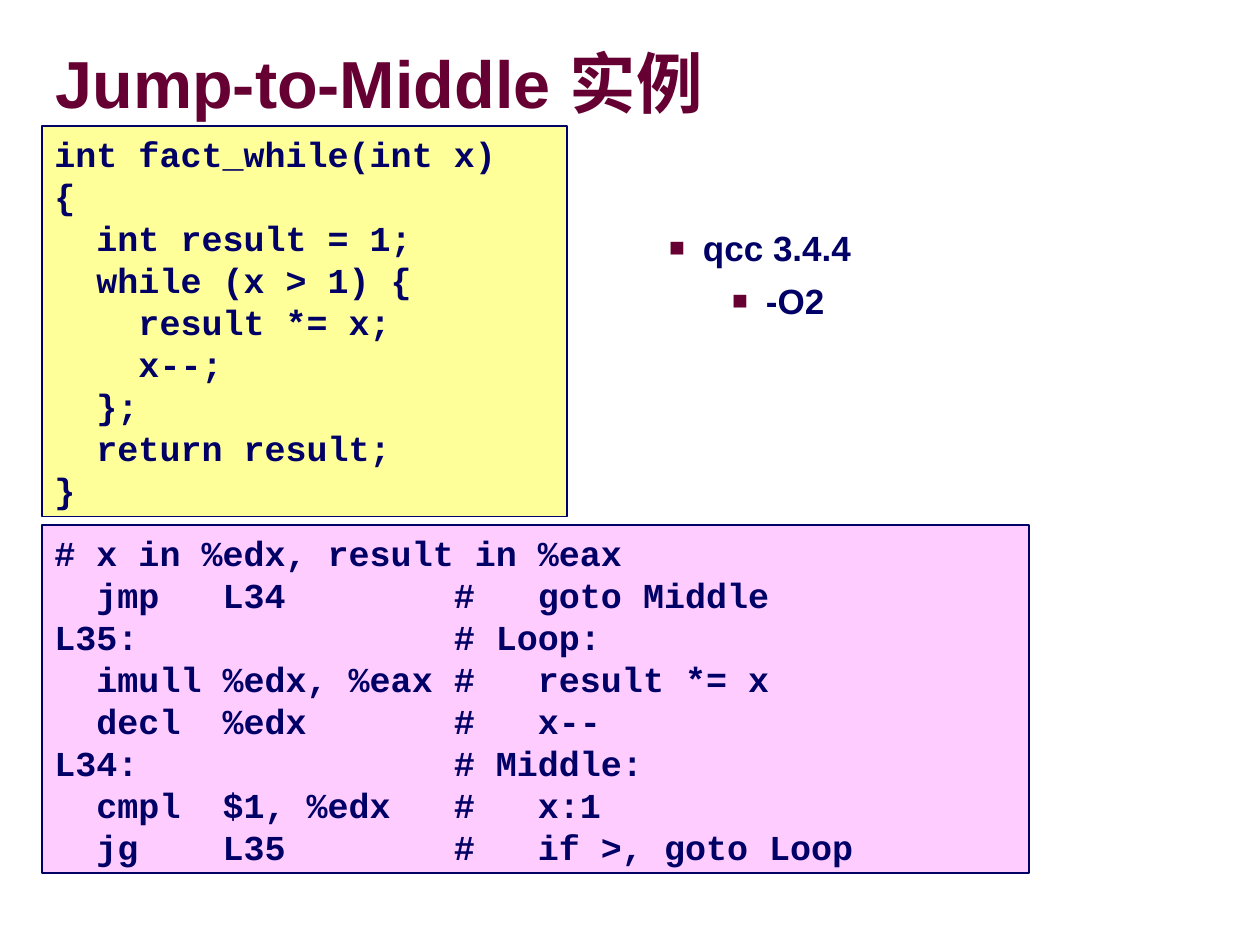
"""Build the Jump-to-Middle example slide with its C and assembly listings."""
from lxml import etree
from pptx import Presentation
from pptx.dml.color import RGBColor
from pptx.enum.shapes import MSO_SHAPE
from pptx.enum.text import MSO_ANCHOR, MSO_AUTO_SIZE, PP_ALIGN
from pptx.oxml.ns import qn
from pptx.util import Pt

RECTANGLE = MSO_SHAPE.RECTANGLE
TOP, MIDDLE = MSO_ANCHOR.TOP, MSO_ANCHOR.MIDDLE
LEFT = PP_ALIGN.LEFT
NO_RESIZE = MSO_AUTO_SIZE.NONE

NAVY = RGBColor(0x00, 0x00, 0x66)
MAROON = RGBColor(0x66, 0x00, 0x33)
YELLOW = RGBColor(0xFF, 0xFF, 0x99)
PINK = RGBColor(0xFF, 0xCC, 0xFF)

C_CODE = """int fact_while(int x)
{
  int result = 1;
  while (x > 1) {
    result *= x;
    x--;
  };
  return result;
}"""

ASSEMBLY_CODE = """# x in %edx, result in %eax
  jmp   L34        #   goto Middle
L35:               # Loop:
  imull %edx, %eax #   result *= x
  decl  %edx       #   x--
L34:               # Middle:
  cmpl  $1, %edx   #   x:1
  jg    L35        #   if >, goto Loop"""


def write_text(shape, text, size=20, font="Arial", color=NAVY, anchor=TOP,
               margins=(7.2, 3.6, 7.2, 3.6), line_spacing=1.0, space_before=0):
    frame = shape.text_frame
    frame.word_wrap = True
    frame.auto_size = NO_RESIZE
    frame.vertical_anchor = anchor
    frame.margin_left, frame.margin_top, frame.margin_right, frame.margin_bottom = map(Pt, margins)
    frame.text = text
    for paragraph in frame.paragraphs:
        paragraph.alignment = LEFT
        paragraph.line_spacing = line_spacing
        paragraph.space_before = Pt(space_before)
        for run in paragraph.runs:
            run.font.size = Pt(size)
            run.font.name = font
            run.font.bold = True
            run.font.color.rgb = color


def place(shape, left, top, width, height):
    shape.left, shape.top, shape.width, shape.height = map(Pt, (left, top, width, height))


presentation = Presentation()
presentation.slide_width = Pt(720)
presentation.slide_height = Pt(540)
slide = presentation.slides.add_slide(presentation.slide_layouts[1])

title = slide.shapes.title
place(title, 31.7, 19.4, 686.2, 61.2)
write_text(title, "Jump-to-Middle 实例", size=38, color=MAROON, anchor=MIDDLE,
           margins=(0, 0, 0, 0), line_spacing=0.87)

compiler_list = slide.placeholders[1]
place(compiler_list, 336.2, 126, 341.3, 101.5)
write_text(compiler_list, "qcc 3.4.4\n-O2", space_before=6.2)
for level, paragraph in enumerate(compiler_list.text_frame.paragraphs):
    paragraph.level = level
    properties = paragraph._p.get_or_add_pPr()
    properties.set("marL", str(Pt(58.3 + 36 * level)))
    properties.set("indent", str(Pt(-19.4)))
    bullet_color = etree.SubElement(properties, qn("a:buClr"))
    etree.SubElement(bullet_color, qn("a:srgbClr"), val=str(MAROON))
    etree.SubElement(properties, qn("a:buSzPct"), val="75000")
    etree.SubElement(properties, qn("a:buChar"), char="■")

for code, top, width, height, fill in (
    (C_CODE, 72, 300, 223.2, YELLOW),
    (ASSEMBLY_CODE, 300, 564, 199, PINK),
):
    code_box = slide.shapes.add_shape(RECTANGLE, Pt(24), Pt(top), Pt(width), Pt(height))
    code_box.shadow.inherit = False
    code_box.fill.solid()
    code_box.fill.fore_color.rgb = fill
    code_box.line.color.rgb = NAVY
    code_box.line.width = Pt(1)
    write_text(code_box, code, font="Courier New", line_spacing=Pt(24))

presentation.save("out.pptx")
